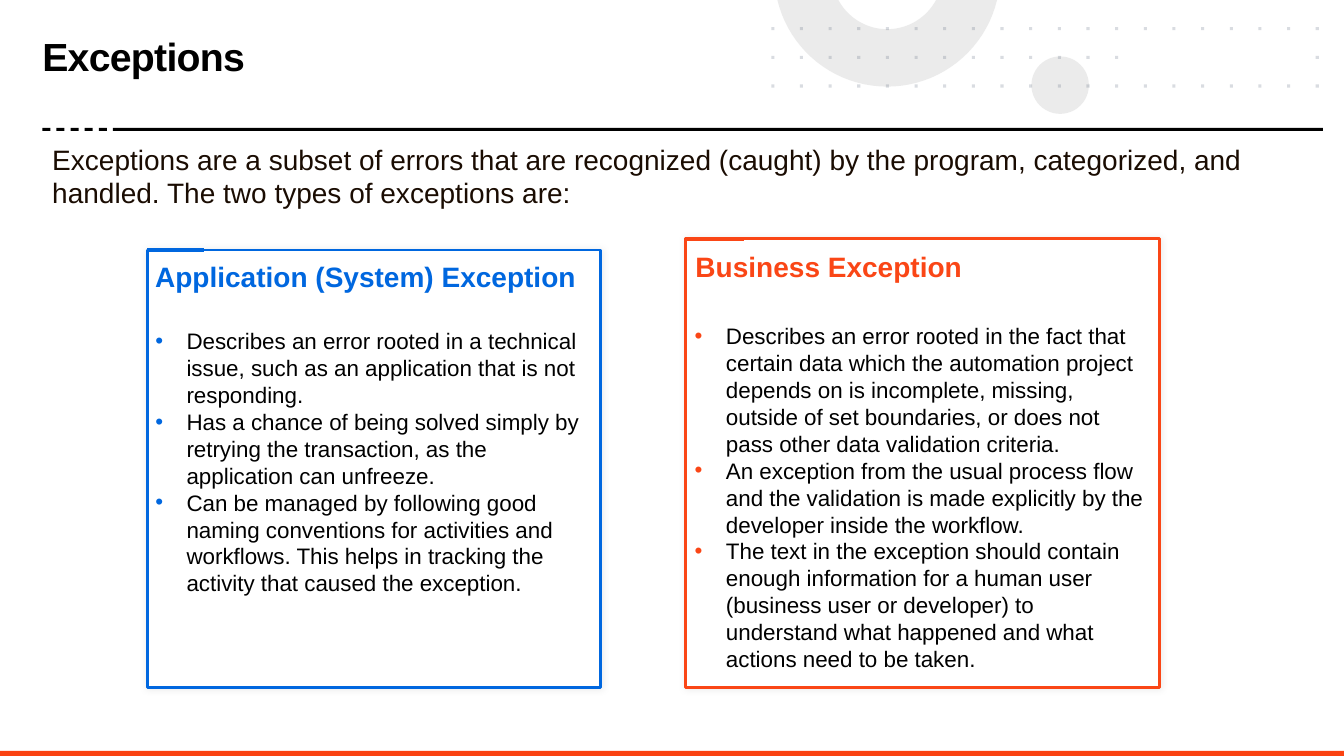
"""Build the slide on the two types of exceptions."""
from dataclasses import dataclass
from math import asin, cos, pi, sin

from lxml import etree
from pptx import Presentation
from pptx.dml.color import RGBColor
from pptx.enum.shapes import MSO_CONNECTOR, MSO_SHAPE
from pptx.enum.text import MSO_ANCHOR, MSO_AUTO_SIZE, PP_ALIGN
from pptx.oxml.ns import qn
from pptx.util import Inches, Pt

RECTANGLE, OVAL = MSO_SHAPE.RECTANGLE, MSO_SHAPE.OVAL
STRAIGHT = MSO_CONNECTOR.STRAIGHT
TOP, LEFT, NO_FIT = MSO_ANCHOR.TOP, PP_ALIGN.LEFT, MSO_AUTO_SIZE.NONE
FONT = "Arial"
BLACK = RGBColor(0x00, 0x00, 0x00)
WHITE = RGBColor(0xFF, 0xFF, 0xFF)
BROWN = RGBColor(0x1A, 0x0C, 0x02)
GREY = RGBColor(0xD9, 0xD9, 0xD9)
SLATE = RGBColor(0x44, 0x54, 0x6A)
BLUE = RGBColor(0x00, 0x67, 0xDF)
ORANGE = RGBColor(0xFA, 0x46, 0x16)
FOOTER_ORANGE = RGBColor(0xFA, 0x42, 0x11)
DOT_LEFT, DOT_TOP, DOT_PITCH, DOT_SIZE = 7.65, 0.27, 5.4 / 19, 0.03
DOT_BLOCKS = (range(0, 6), range(6, 12), range(12, 14), range(14, 20))
MIDDLE_ROW_GAP = range(13, 19)


@dataclass(frozen=True)
class Area:
    """A rectangle in inches."""
    left: float
    top: float
    width: float
    height: float

    def lengths(self) -> tuple:
        """Return the four sides as lengths."""
        return tuple(map(Inches, (self.left, self.top, self.width, self.height)))


@dataclass(frozen=True)
class Card:
    """A framed column with a heading and a list."""
    color: RGBColor
    frame: Area
    accent_left: float
    accent_right: float
    heading_area: Area
    heading: str
    list_area: Area
    items: tuple


CARDS = (
    Card(BLUE, Area(1.46, 2.48, 4.5, 4.34), 1.46, 2.02,
         Area(1.44, 2.59, 4.44, 0.56), "Application (System) Exception",
         Area(1.44, 3.2, 4.45, 0.76), (
             "Describes an error rooted in a technical issue, such as an "
             "application that is not responding.",
             "Has a chance of being solved simply by retrying the transaction, "
             "as the application can unfreeze.",
             "Can be managed by following good naming conventions for activities "
             "and workflows. This helps in tracking the activity that caused the "
             "exception.")),
    Card(ORANGE, Area(6.8, 2.37, 4.7, 4.45), 6.79, 7.38,
         Area(6.8, 2.49, 4.64, 0.63), "Business Exception",
         Area(6.79, 3.15, 4.65, 0.85), (
             "Describes an error rooted in the fact that certain data which the "
             "automation project depends on is incomplete, missing, outside of "
             "set boundaries, or does not pass other data validation criteria.",
             "An exception from the usual process flow and the validation is made "
             "explicitly by the developer inside the workflow.",
             "The text in the exception should contain enough information for a "
             "human user (business user or developer) to understand what happened "
             "and what actions need to be taken.")),
)


def paint(shape, color: RGBColor, opacity: int = 100) -> None:
    """Give a shape a plain fill without line or shadow."""
    shape.shadow.inherit = False
    shape.fill.solid()
    shape.fill.fore_color.rgb = color
    shape.line.fill.background()
    if opacity < 100:
        tint = shape.element.spPr.find(qn("a:solidFill"))[0]
        etree.SubElement(tint, qn("a:alpha"), val=str(opacity * 1000))


def add_block(page, area: Area, color: RGBColor):
    """Draw a filled rectangle."""
    block = page.shapes.add_shape(RECTANGLE, *area.lengths())
    paint(block, color)
    return block


def add_outline(page, contours: list, color: RGBColor, opacity: int) -> None:
    """Draw one filled outline made of closed contours in inches."""
    contours = [[(Inches(x), Inches(y)) for x, y in points] for points in contours]
    builder = page.shapes.build_freeform(*contours[0][0])
    for number, points in enumerate(contours):
        if number:
            builder.move_to(*points[0])
        builder.add_line_segments(points[1:], close=True)
    paint(builder.convert_to_shape(), color, opacity)


def arc(radius: float, steps: int = 40) -> list:
    """Return the part of a ring edge below the top of the page."""
    center_x, center_y = 8.8, -0.26
    start = asin(-center_y / radius)
    angles = [start + (pi - 2 * start) * step / steps for step in range(steps + 1)]
    return [(center_x + radius * cos(angle), center_y + radius * sin(angle))
            for angle in angles]


def dot(column: int, row: int) -> list:
    """Return the corners of one dot of the grid."""
    left, top = DOT_LEFT + column * DOT_PITCH, DOT_TOP + row * DOT_PITCH
    right, bottom = left + DOT_SIZE, top + DOT_SIZE
    return [(left, top), (right, top), (right, bottom), (left, bottom)]


def add_decoration(page) -> None:
    """Draw the disc, the ring and the dots in the header."""
    disc = page.shapes.add_shape(OVAL, *Area(10.23, 0.56, 0.57, 0.57).lengths())
    paint(disc, GREY, 50)
    add_outline(page, [arc(1.12) + arc(0.55)[::-1]], GREY, 50)
    for columns in DOT_BLOCKS:
        dots = [dot(column, row) for row in range(3) for column in columns
                if row != 1 or column not in MIDDLE_ROW_GAP]
        add_outline(page, dots, SLATE, 20)


def write(box, lines: tuple, size: int, color: RGBColor, bold: bool = False,
          spacing: float = 1.0, bullet: RGBColor | None = None) -> None:
    """Fill a text box or placeholder with paragraphs of one style."""
    frame = box.text_frame
    frame.word_wrap, frame.auto_size, frame.vertical_anchor = True, NO_FIT, TOP
    frame.text = "\n".join(lines)
    for para in frame.paragraphs:
        para.alignment, para.line_spacing = LEFT, spacing
        para.space_before = Pt(0)
        if bullet is not None:
            add_bullet(para, bullet)
        font = para.font
        font.name, font.size, font.bold = FONT, Pt(size), bold
        font.color.rgb = color


def add_bullet(para, color: RGBColor) -> None:
    """Give a paragraph a coloured bullet and a hanging indent."""
    properties = para.line_spacing and para._p.get_or_add_pPr()
    properties.set("marL", str(Inches(0.31)))
    properties.set("indent", str(-Inches(0.31)))
    tint = etree.SubElement(properties, qn("a:buClr"))
    etree.SubElement(tint, qn("a:srgbClr"), val=str(color))
    etree.SubElement(properties, qn("a:buFont"), typeface=FONT)
    etree.SubElement(properties, qn("a:buChar"), char="•")


def place(box, area: Area) -> None:
    """Move a placeholder to an area, in front of all other shapes."""
    box.left, box.top, box.width, box.height = area.lengths()
    box.element.getparent().append(box.element)


def add_card(page, card: Card, box) -> None:
    """Draw one card and put its list in the given placeholder."""
    frame = add_block(page, card.frame, WHITE)
    frame.line.color.rgb, frame.line.width = card.color, Pt(2)
    effects = frame.element.spPr.find(qn("a:effectLst"))
    shadow = etree.SubElement(effects, qn("a:outerShdw"), blurRad=str(Pt(5)),
                              dist="0", dir="0", algn="ctr", rotWithShape="0")
    tint = etree.SubElement(shadow, qn("a:srgbClr"), val=str(BLACK))
    etree.SubElement(tint, qn("a:alpha"), val="8000")
    top = Inches(card.frame.top)
    accent = page.shapes.add_connector(
        STRAIGHT, Inches(card.accent_left), top, Inches(card.accent_right), top)
    accent.line.color.rgb, accent.line.width = card.color, Pt(3)
    etree.SubElement(accent.element.spPr, qn("a:effectLst"))
    heading = page.shapes.add_textbox(*card.heading_area.lengths())
    write(heading, (card.heading,), 20, card.color, bold=True, spacing=0.8)
    place(box, card.list_area)
    write(box, card.items, 16, BLACK, bullet=card.color)


def main() -> None:
    """Build and save the deck."""
    deck = Presentation()
    deck.slide_width, deck.slide_height = Inches(13.33), Inches(7.5)
    page = deck.slides.add_slide(deck.slide_layouts[3])
    title, *lists = page.placeholders
    add_decoration(page)
    place(title, Area(0.42, 0.39, 7.23, 0.75))
    write(title, ("Exceptions",), 28, BLACK, bold=True, spacing=0.85)
    title.element.find(".//" + qn("a:defRPr")).set("spc", "-50")
    frame = title.text_frame
    frame.margin_left = frame.margin_top = frame.margin_right = frame.margin_bottom = 0
    add_block(page, Area(1.12, 1.27, 12, 0.03), BLACK)
    add_block(page, Area(0, 7.45, 13.33, 0.05), FOOTER_ORANGE)
    intro = page.shapes.add_textbox(*Area(0.42, 1.36, 12.67, 0.77).lengths())
    write(intro, ("Exceptions are a subset of errors that are recognized (caught) by the "
                  "program, categorized, and handled. The two types of exceptions are:",),
          20, BROWN)
    for number in range(5):
        add_block(page, Area(0.42 + 0.14 * number, 1.27, 0.08, 0.03), BLACK)
    for card, box in zip(CARDS, lists):
        add_card(page, card, box)
    deck.save("out.pptx")


if __name__ == "__main__":
    main()
